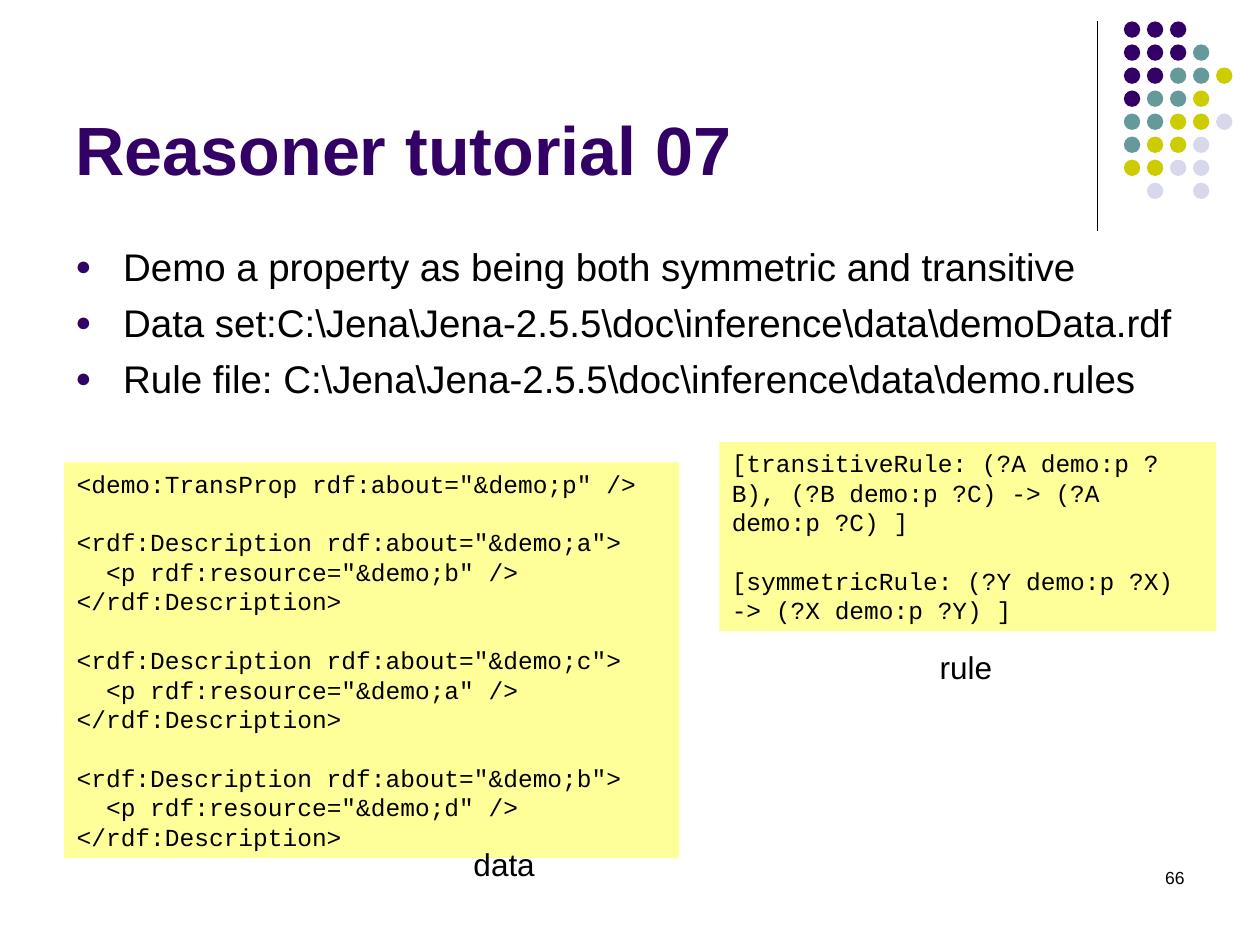
from lxml import etree
from pptx import Presentation
from pptx.dml.color import RGBColor
from pptx.enum import shapes, text
from pptx.oxml import ns
from pptx.util import Inches, Pt

COLORS = {"purple": "330066", "teal": "669999", "olive": "CCCC00",
          "lilac": "D8D8EC", "black": "000000", "code": "FFFF99"}
DOT_COLORS = {"P": "purple", "T": "teal", "O": "olive", "L": "lilac"}
DOT_ROWS = ["PPP", "PPPT", "PPTTO", "PTTO", "TTOOL", "TOOL", "OOLL", " L L"]
DOT_PITCH = (1.45 - 0.17) / 7
LEADING = 1.2

GOALS = [
    "Demo a property as being both symmetric and transitive",
    r"Data set:C:\Jena\Jena-2.5.5\doc\inference\data\demoData.rdf",
    r"Rule file: C:\Jena\Jena-2.5.5\doc\inference\data\demo.rules",
]
LINKS = [("a", "b"), ("c", "a"), ("b", "d")]
DATA_BLOCKS = [['<demo:TransProp rdf:about="&demo;p" />']] + [
    [f'<rdf:Description rdf:about="&demo;{subject}">',
     f'<p rdf:resource="&demo;{target}" />',
     "</rdf:Description>"]
    for subject, target in LINKS]
RULE_BLOCKS = [
    ["[transitiveRule: (?A demo:p ?B), (?B demo:p ?C) -> (?A demo:p ?C) ]"],
    ["[symmetricRule: (?Y demo:p ?X) -> (?X demo:p ?Y) ]"],
]


def rgb(name):
    return RGBColor.from_string(COLORS[name])


def box(left, top, width, height):
    return [Inches(v) for v in (left, top, width, height)]


class SlideBuilder:
    body_font = "Arial"
    code_font = "Courier New"

    def __init__(self, slide):
        self.slide = slide

    def format_frame(self, frame, anchor=text.MSO_ANCHOR.TOP):
        settings = {
            "word_wrap": True, "auto_size": text.MSO_AUTO_SIZE.NONE,
            "vertical_anchor": anchor,
            "margin_left": Inches(0.1), "margin_right": Inches(0.1),
            "margin_top": Inches(0.05), "margin_bottom": Inches(0.05),
        }
        for name, value in settings.items():
            setattr(frame, name, value)

    def add_lines(self, frame, lines, size, before=0, font=None, color="black",
                  bold=False, align=text.PP_ALIGN.LEFT):
        """Fill the frame with one paragraph per line and return them."""
        paragraphs = [frame.paragraphs[0]]
        paragraphs += [frame.add_paragraph() for _ in lines[1:]]
        layout = {"alignment": align, "space_before": Pt(before),
                  "space_after": Pt(0), "line_spacing": Pt(size * LEADING)}
        letters = {"name": font or self.body_font, "size": Pt(size), "bold": bold}
        for paragraph, line in zip(paragraphs, lines):
            run = paragraph.add_run()
            run.text = line
            run.font.color.rgb = rgb(color)
            for target, values in ((paragraph, layout), (run.font, letters)):
                for name, value in values.items():
                    setattr(target, name, value)
        return paragraphs

    def title(self, words, place):
        heading = self.slide.shapes.title
        heading.left, heading.top, heading.width, heading.height = box(*place)
        self.format_frame(heading.text_frame, text.MSO_ANCHOR.BOTTOM)
        self.add_lines(heading.text_frame, [words], 39, color="purple", bold=True)

    def label(self, words, place, size, **style):
        frame = self.slide.shapes.add_textbox(*box(*place)).text_frame
        self.format_frame(frame)
        self.add_lines(frame, [words], size, **style)

    def bullets(self, lines, place):
        frame = self.slide.shapes.add_textbox(*box(*place)).text_frame
        self.format_frame(frame)
        for paragraph in self.add_lines(frame, lines, 22, before=5.5):
            props = paragraph._p.get_or_add_pPr()
            props.set("marL", str(Inches(0.38)))
            props.set("indent", str(-Inches(0.38)))
            color = etree.SubElement(props, ns.qn("a:buClr"))
            etree.SubElement(color, ns.qn("a:srgbClr"), val=COLORS["purple"])
            etree.SubElement(props, ns.qn("a:buSzPct"), val="70000")
            etree.SubElement(props, ns.qn("a:buFont"), typeface=self.body_font)
            etree.SubElement(props, ns.qn("a:buChar"), char="●")

    def code(self, blocks, place, size=14):
        """Draw a code panel with one line of space between its blocks."""
        panel = self.slide.shapes.add_shape(shapes.MSO_SHAPE.RECTANGLE, *box(*place))
        self.paint(panel, "code")
        self.format_frame(panel.text_frame)
        lines = [line for block in blocks for line in block]
        paragraphs = iter(self.add_lines(panel.text_frame, lines, size,
                                         font=self.code_font))
        for number, block in enumerate(blocks):
            for row, line in enumerate(block):
                paragraph = next(paragraphs)
                if number and row == 0:
                    paragraph.space_before = Pt(size * LEADING)
                if line.startswith("<p "):
                    two_letters = Pt(2 * 0.6 * size)
                    paragraph._p.get_or_add_pPr().set("marL", str(two_letters))

    def paint(self, shape, color):
        shape.shadow.inherit = False
        shape.fill.solid()
        shape.fill.fore_color.rgb = rgb(color)
        shape.line.fill.background()

    def rule_line(self, x, top, bottom):
        line = self.slide.shapes.add_connector(
            shapes.MSO_CONNECTOR.STRAIGHT,
            Inches(x), Inches(top), Inches(x), Inches(bottom))
        line.line.color.rgb = rgb("black")
        line.line.width = Pt(0.75)
        etree.SubElement(line._element.spPr, ns.qn("a:effectLst"))

    def dots(self, left, top, size=0.13):
        group = self.slide.shapes.add_group_shape()
        for row, codes in enumerate(DOT_ROWS):
            for column, code in enumerate(codes):
                if code in DOT_COLORS:
                    dot = group.shapes.add_shape(
                        shapes.MSO_SHAPE.OVAL,
                        *box(left + column * DOT_PITCH, top + row * DOT_PITCH,
                             size, size))
                    self.paint(dot, DOT_COLORS[code])


def main():
    deck = Presentation()
    deck.slide_width, deck.slide_height = Inches(10), Inches(7.5)
    title_only = deck.slide_layouts[5]
    builder = SlideBuilder(deck.slides.add_slide(title_only))

    builder.rule_line(8.71, 0.17, 1.83)
    builder.dots(8.92, 0.17)
    builder.label("66", (7.17, 6.83, 2.33, 0.5), 10, align=text.PP_ALIGN.RIGHT)
    builder.title("Reasoner tutorial 07", (0.5, 0.13, 8.25, 1.42))
    builder.bullets(GOALS, (0.5, 1.88, 9, 4.82))
    builder.code(DATA_BLOCKS, (0.51, 3.67, 4.88, 3.14))
    builder.code(RULE_BLOCKS, (5.71, 3.51, 3.94, 1.5))
    for caption, left, top in (("data", 3.66, 6.66), ("rule", 7.36, 5.09)):
        builder.label(caption, (left, top, 0.94, 0.4), 18, before=11.2)
    deck.save("out.pptx")


if __name__ == "__main__":
    main()
